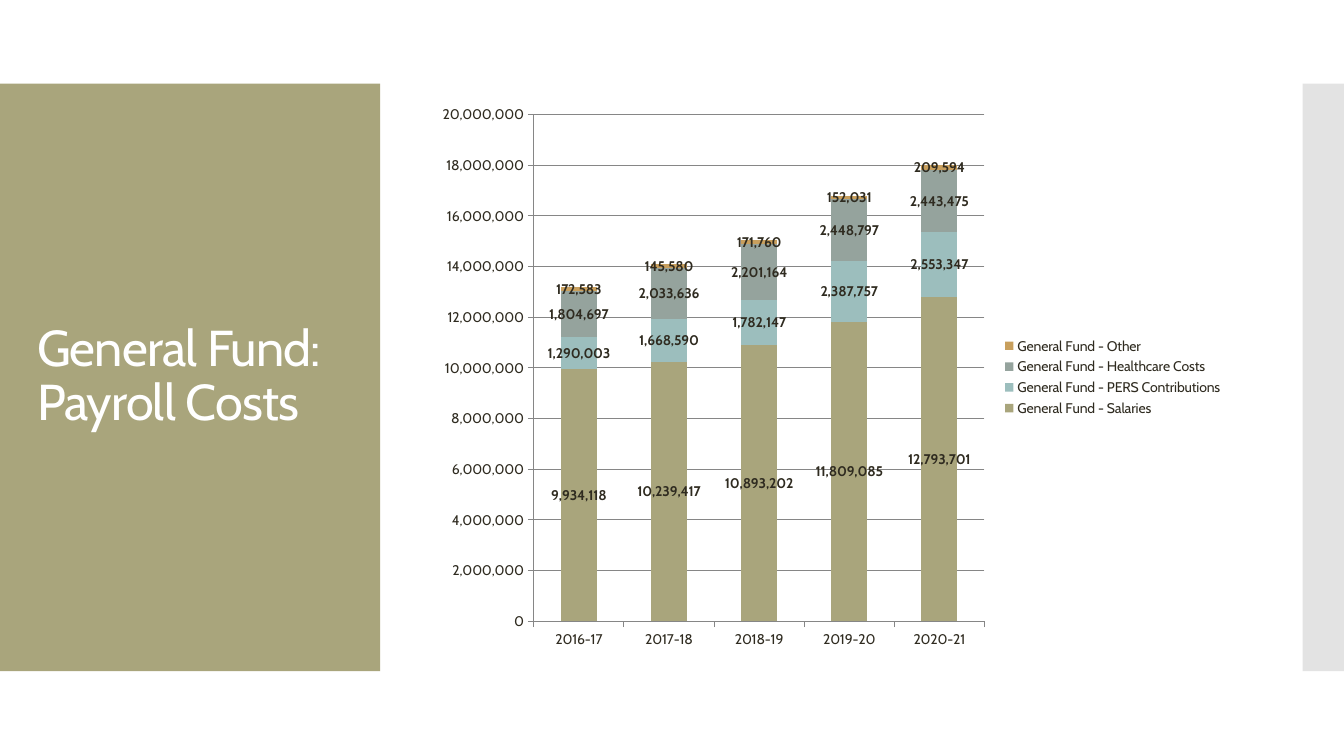
from lxml.etree import SubElement
from pptx import Presentation
from pptx.chart.data import CategoryChartData
from pptx.dml.color import RGBColor
from pptx.enum.chart import XL_CHART_TYPE as ChartType, XL_LABEL_POSITION as LabelPosition
from pptx.enum.chart import XL_LEGEND_POSITION as LegendPosition, XL_TICK_MARK as TickMark
from pptx.enum.shapes import MSO_SHAPE as Shape
from pptx.enum.text import MSO_ANCHOR as Anchor
from pptx.oxml.ns import qn
from pptx.util import Inches, Pt

FONT = "Cabin"
COLORS = {
    "panel": "A9A57C", "strip": "C8C8C8", "title": "FFFFFF", "text": "2F2B20", "line": "868686",
    "salaries": "A9A57C", "pers": "9CBEBD", "spare": "D2CB6C",
    "healthcare": "95A39D", "other": "C89F5D",
}
YEARS = ["2016-17", "2017-18", "2018-19", "2019-20", "2020-21"]
SPARE = "Series 3"
COSTS = [
    ("General Fund - Salaries", "salaries", [9934118, 10239417, 10893202, 11809085, 12793701]),
    ("General Fund - PERS Contributions", "pers", [1290003, 1668590, 1782147, 2387757, 2553347]),
    (SPARE, "spare", [0]),
    ("General Fund - Healthcare Costs", "healthcare",
     [1804697, 2033636, 2201164, 2448797, 2443475]),
    ("General Fund - Other", "other", [172583, 145580, 171760, 152031, 209594]),
]


def color(name):
    return RGBColor.from_string(COLORS[name])


def style_font(font, size, name, bold=False):
    font.name = FONT
    font.size = Pt(size)
    font.bold = bold
    font.color.rgb = color(name)


def add_band(slide, left, top, width, height, fill, opacity=100):
    band = slide.shapes.add_shape(
        Shape.RECTANGLE, Inches(left), Inches(top), Inches(width), Inches(height))
    band.shadow.inherit = False
    band.line.fill.background()
    band.fill.solid()
    band.fill.fore_color.rgb = color(fill)
    if opacity < 100:
        tint = band.fill._xPr.find(".//" + qn("a:srgbClr"))
        SubElement(tint, qn("a:alpha"), val=str(opacity * 1000))


def add_title_panel(slide, left, top, width, height):
    add_band(slide, left, top, width, height, "panel")
    title = slide.shapes.add_textbox(
        Inches(left + 0.27), Inches(top + 0.4), Inches(width - 0.55), Inches(height - 0.8))
    frame = title.text_frame
    frame.word_wrap = True
    frame.vertical_anchor = Anchor.MIDDLE
    heading = frame.paragraphs[0]
    heading.line_spacing = 0.9
    style_font(heading.font, 36, "title")
    wording = heading.add_run()
    wording.text = "General Fund: Payroll Costs"
    wording.font._element.set("spc", "-60")


def hide_legend_entry(legend, index):
    entry = SubElement(legend._element, qn("c:legendEntry"))
    SubElement(entry, qn("c:idx"), val=str(index))
    SubElement(entry, qn("c:delete"), val="1")
    legend._element.find(qn("c:legendPos")).addnext(entry)


def add_payroll_chart(slide, left, top, width, height):
    payroll = CategoryChartData(number_format="#,##0")
    payroll.categories = YEARS
    for cost, _, amounts in COSTS:
        payroll.add_series(cost, amounts)
    chart = slide.shapes.add_chart(
        ChartType.COLUMN_STACKED, Inches(left), Inches(top),
        Inches(width), Inches(height), payroll).chart
    chart.has_title = False
    style_font(chart.font, 10, "text")

    chart.has_legend = True
    chart.legend.position = LegendPosition.RIGHT
    chart.legend.include_in_layout = False

    amounts_axis = chart.value_axis
    amounts_axis.has_major_gridlines = True
    amounts_axis.major_gridlines.format.line.color.rgb = color("line")
    amounts_axis.tick_labels.number_format = "#,##0"
    amounts_axis.tick_labels.number_format_is_linked = False
    for axis in (amounts_axis, chart.category_axis):
        axis.major_tick_mark = TickMark.OUTSIDE
        axis.format.line.color.rgb = color("line")

    columns = chart.plots[0]
    columns.gap_width = 150
    columns.overlap = 100
    columns.vary_by_categories = False
    for index, (series, (cost, fill, _)) in enumerate(zip(columns.series, COSTS)):
        series.format.fill.solid()
        series.format.fill.fore_color.rgb = color(fill)
        if cost == SPARE:
            hide_legend_entry(chart.legend, index)
            continue
        labels = series.data_labels
        labels.show_value = True
        labels.position = LabelPosition.CENTER
        labels.number_format = "#,##0"
        labels.number_format_is_linked = False
        style_font(labels.font, 10, "text", bold=True)


def main():
    deck = Presentation()
    deck.slide_width, deck.slide_height = Inches(13.33), Inches(7.5)
    slide = deck.slides.add_slide(deck.slide_layouts[6])
    add_title_panel(slide, 0, 0.83, 3.77, 5.83)
    add_band(slide, 12.92, 0.83, 0.41, 5.83, "strip", opacity=50)
    add_payroll_chart(slide, 4.23, 0.94, 8, 5.6)
    deck.save("out.pptx")


if __name__ == "__main__":
    main()
